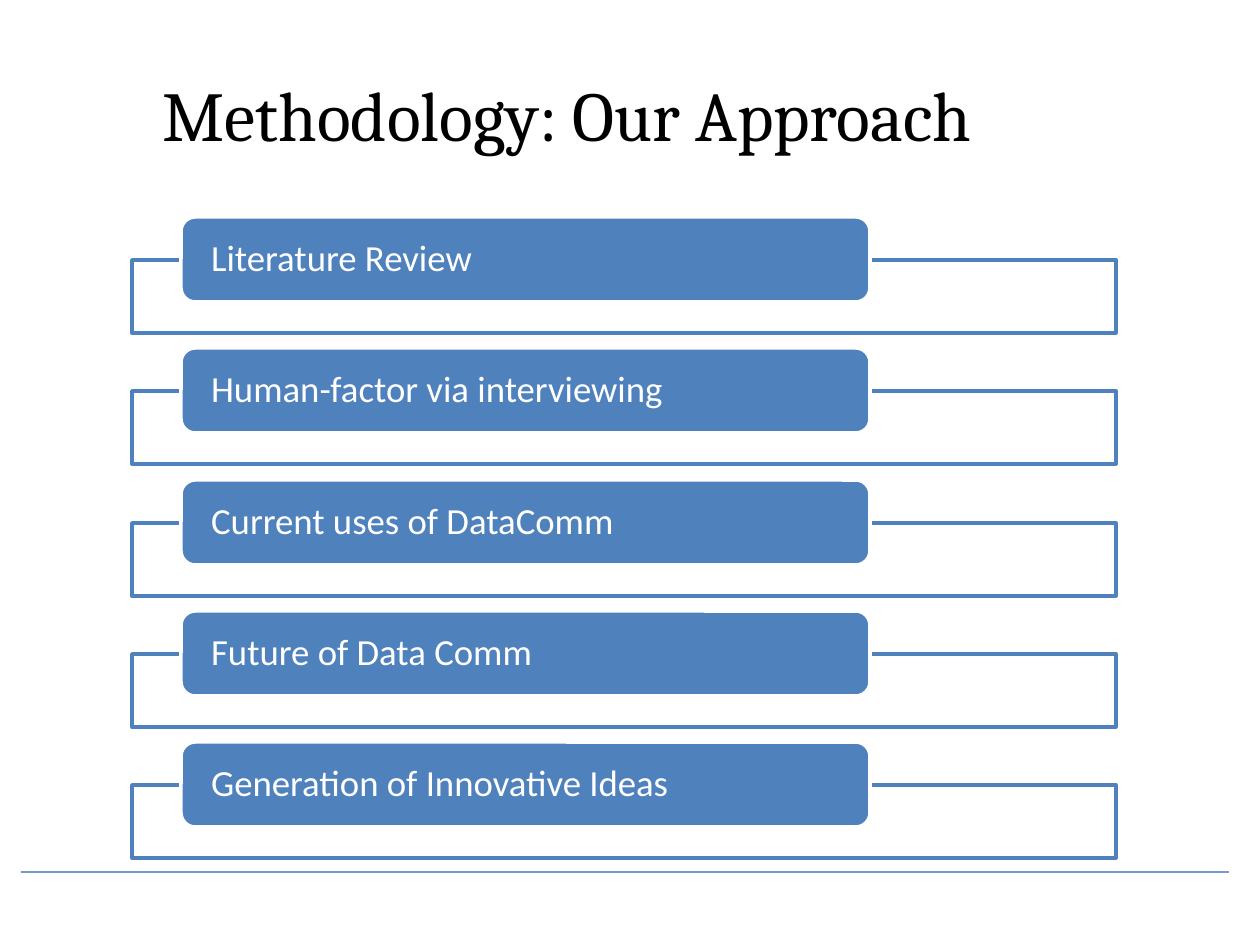
from dataclasses import dataclass

import pptx
import pptx.dml.color
import pptx.enum.shapes
import pptx.enum.text
import pptx.oxml
import pptx.oxml.ns
import pptx.util

SHAPE = pptx.enum.shapes.MSO_SHAPE
ALIGN = pptx.enum.text.PP_ALIGN
ANCHOR = pptx.enum.text.MSO_ANCHOR


@dataclass(frozen=True)
class Theme:
    blue: str = "4F81BD"
    white: str = "FFFFFF"
    black: str = "000000"
    title_font: str = "Cambria"
    body_font: str = "Calibri"
    title_size: int = 40
    step_size: int = 21
    outline: int = 2
    rule: int = 1


def px(length):
    return pptx.util.Emu(round(length * 914400 / 126))


def rgb(color):
    return pptx.dml.color.RGBColor.from_string(color)


def set_opacity(properties, percent):
    # The first colour in the properties is the one made translucent
    color = properties.find(".//" + pptx.oxml.ns.qn("a:srgbClr"))
    color.append(pptx.oxml.parse_xml(
        f'<a:alpha {pptx.oxml.ns.nsdecls("a")} val="{percent * 1000}"/>'))


class SlideBuilder:
    def __init__(self, page, theme):
        self.page = page
        self.theme = theme

    def add_text(self, para, text, font, size, color):
        span = para.add_run()
        span.text = text
        span.font.name = font
        span.font.size = pptx.util.Pt(size)
        span.font.color.rgb = rgb(color)

    def title(self, text, left, top, width, height):
        box = self.page.shapes.title
        box.left, box.top, box.width, box.height = map(
            px, (left, top, width, height))
        box.text_frame.vertical_anchor = ANCHOR.MIDDLE
        para = box.text_frame.paragraphs[0]
        para.alignment = ALIGN.CENTER
        self.add_text(para, text, self.theme.title_font,
                      self.theme.title_size, self.theme.black)

    def rule(self, left, top, right):
        line = self.page.shapes.add_connector(
            pptx.enum.shapes.MSO_CONNECTOR.STRAIGHT,
            px(left), px(top), px(right), px(top))
        line.line.color.rgb = rgb(self.theme.blue)
        line.line.width = pptx.util.Pt(self.theme.rule)
        properties = line._element.spPr
        set_opacity(properties, 80)
        properties.append(pptx.oxml.parse_xml(
            f'<a:effectLst {pptx.oxml.ns.nsdecls("a")}/>'))

    def panel(self, group, kind, left, top, width, height, fill, outline):
        shape = group.shapes.add_shape(
            kind, px(left), px(top), px(width), px(height))
        shape.shadow.inherit = False
        shape.fill.solid()
        shape.fill.fore_color.rgb = rgb(fill)
        shape.line.color.rgb = rgb(outline)
        shape.line.width = pptx.util.Pt(self.theme.outline)
        return shape

    def step(self, group, text, top):
        theme = self.theme
        # Outlined frame behind the label
        frame = self.panel(group, SHAPE.RECTANGLE, 132, top + 43, 984, 73,
                           theme.white, theme.blue)
        set_opacity(frame._element.spPr, 90)
        # Rounded label
        label = self.panel(group, SHAPE.ROUNDED_RECTANGLE, 181, top, 689, 85,
                           theme.blue, theme.white)
        box = label.text_frame
        box.word_wrap = True
        box.vertical_anchor = ANCHOR.MIDDLE
        box.margin_left = box.margin_right = px(26)
        box.margin_top = box.margin_bottom = 0
        para = box.paragraphs[0]
        para.alignment = ALIGN.LEFT
        para.line_spacing = 0.9
        self.add_text(para, text, theme.body_font, theme.step_size,
                      theme.white)


def main():
    deck = pptx.Presentation()
    deck.slide_width, deck.slide_height = px(1260), px(945)
    page = deck.slides.add_slide(deck.slide_layouts[5])
    builder = SlideBuilder(page, Theme())

    # Title and footer rule
    builder.title("Methodology: Our Approach", 0, 63, 1134, 102)
    builder.rule(21, 872, 1229)

    # Evenly spaced steps of the approach
    steps = ["Literature Review", "Human-factor via interviewing",
             "Current uses of DataComm", "Future of Data Comm",
             "Generation of Innovative Ideas"]
    first_top, last_top = 217, 742
    pitch = (last_top - first_top) / (len(steps) - 1)
    group = page.shapes.add_group_shape()
    for index, text in enumerate(steps):
        builder.step(group, text, round(first_top + index * pitch))

    deck.save("out.pptx")


if __name__ == "__main__":
    main()
